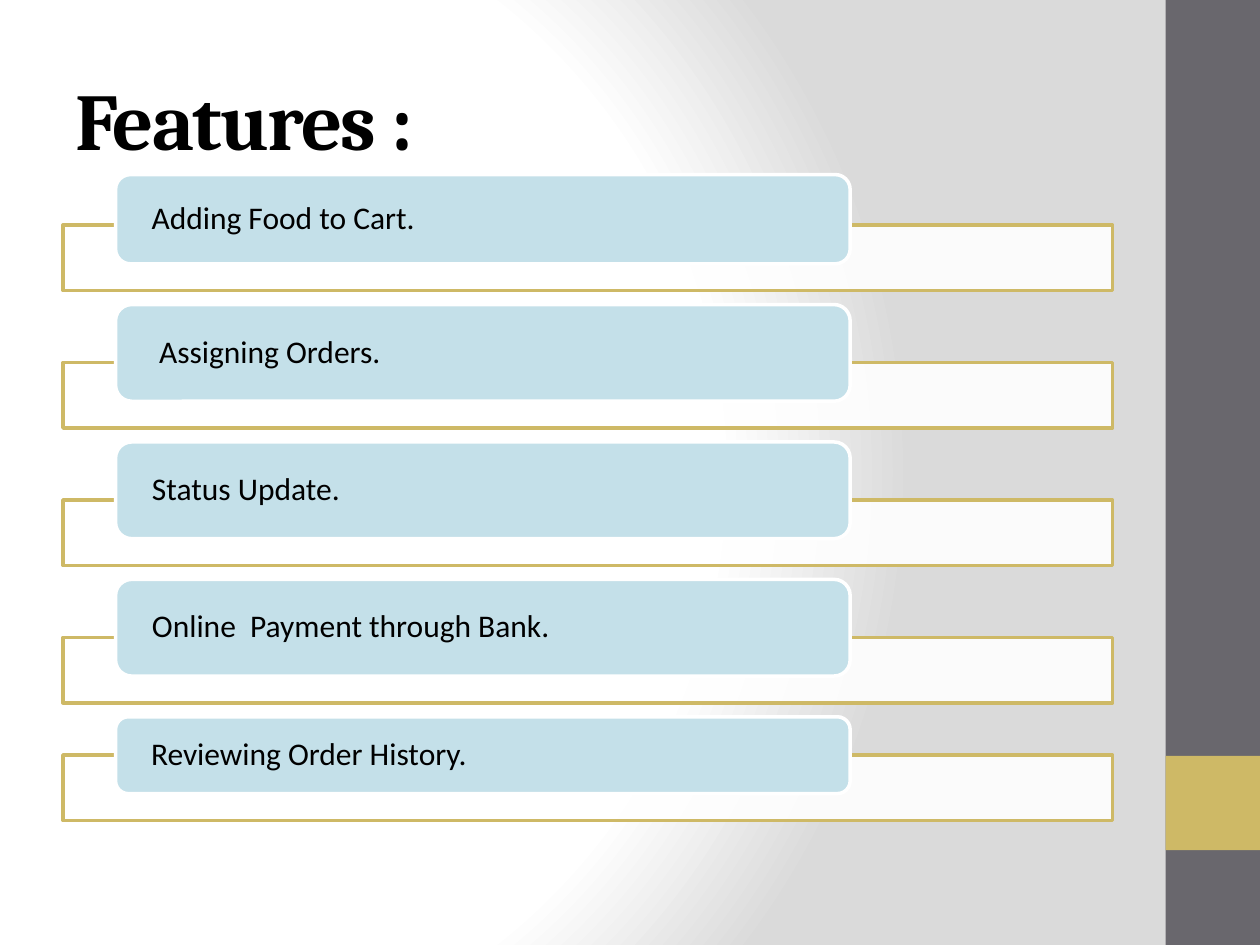
from lxml import etree
from pptx import Presentation
from pptx.dml.color import RGBColor
from pptx.enum.shapes import MSO_SHAPE
from pptx.enum.text import MSO_ANCHOR, PP_ALIGN
from pptx.oxml import parse_xml
from pptx.oxml.ns import qn
from pptx.util import Cm, Pt

RECT = MSO_SHAPE.RECTANGLE
ROUND = MSO_SHAPE.ROUNDED_RECTANGLE
MIDDLE = MSO_ANCHOR.MIDDLE
LEFT = PP_ALIGN.LEFT

BLACK = RGBColor(0x00, 0x00, 0x00)
WHITE = RGBColor(0xFF, 0xFF, 0xFF)
SILVER = RGBColor(0xDA, 0xDA, 0xDA)
SLATE = RGBColor(0x69, 0x67, 0x6D)
GOLD = RGBColor(0xCE, 0xB9, 0x66)
BLUE = RGBColor(0xC4, 0xE0, 0xE9)

START = 3.52
DROP = 0.54
GAP = 0.28
BAR = 1.32
ITEMS = [
    ("Adding Food to Cart.", 1.8),
    (" Assigning Orders.", 1.95),
    ("Status Update.", 1.95),
    ("Online  Payment through Bank.", 1.95),
    ("Reviewing Order History.", 1.55),
]
STOPS = [(0, WHITE), (75, WHITE), (100, SILVER)]
SPACE = "http://schemas.openxmlformats.org/drawingml/2006/main"


def add_glow(slide):
    slide.background.fill.solid()
    stops = "".join(
        f'<a:gs pos="{pos * 1000}"><a:srgbClr val="{tint}"/></a:gs>'
        for pos, tint in STOPS
    )
    glow = parse_xml(
        f'<a:gradFill xmlns:a="{SPACE}" rotWithShape="1">'
        f'<a:gsLst>{stops}</a:gsLst><a:path path="circle">'
        '<a:fillToRect l="20000" t="50000" r="100000" b="50000"/>'
        '</a:path></a:gradFill>'
    )
    solid = next(slide.element.iter(qn("a:solidFill")))
    solid.getparent().replace(solid, glow)


def add_box(slide, kind, left, top, width, height, fill, line=None):
    box = slide.shapes.add_shape(kind, Cm(left), Cm(top), Cm(width), Cm(height))
    box.shadow.inherit = False
    box.fill.solid()
    box.fill.fore_color.rgb = fill
    if line is None:
        box.line.fill.background()
    else:
        box.line.color.rgb = line
        box.line.width = Pt(2)
    return box


def set_text(shape, text, font, size, bold=False):
    frame = shape.text_frame
    frame.word_wrap = True
    frame.vertical_anchor = MIDDLE
    para = frame.paragraphs[0]
    para.text = text
    para.alignment = LEFT
    para.font.name = font
    para.font.size = Pt(size)
    para.font.bold = bold
    para.font.color.rgb = BLACK
    return para


def add_title(slide, text):
    box = slide.shapes.add_textbox(Cm(1.27), Cm(0.76), Cm(21.16), Cm(3.25))
    para = set_text(box, text, "Cambria", 46, True)
    para.runs[0].font._element.set("spc", "-100")


def add_bar(slide, base):
    bar = add_box(slide, RECT, 1.27, base - BAR, 21.16, BAR, WHITE, GOLD)
    tint = next(bar.fill._xPr.iter(qn("a:srgbClr")))
    etree.SubElement(tint, qn("a:alpha")).set("val", "90000")


def add_pill(slide, top, height, text):
    pill = add_box(slide, ROUND, 2.33, top, 14.81, height, BLUE, WHITE)
    para = set_text(pill, text, "Calibri", 18)
    para.line_spacing = 0.9
    frame = pill.text_frame
    frame.margin_left = frame.margin_right = Cm(0.64)
    frame.margin_top = frame.margin_bottom = 0


def add_list(slide):
    top = START
    for text, height in ITEMS:
        base = top + height + DROP
        add_bar(slide, base)
        add_pill(slide, top, height, text)
        top = base + GAP


def main():
    deck = Presentation()
    deck.slide_width = Cm(25.4)
    deck.slide_height = Cm(19.05)
    slide = deck.slides.add_slide(deck.slide_layouts[6])
    add_glow(slide)
    add_box(slide, RECT, 23.5, 0, 1.9, 19.05, SLATE)
    add_box(slide, RECT, 23.5, 15.24, 1.9, 1.9, GOLD)
    add_title(slide, "Features :")
    add_list(slide)
    deck.save("out.pptx")


main()
